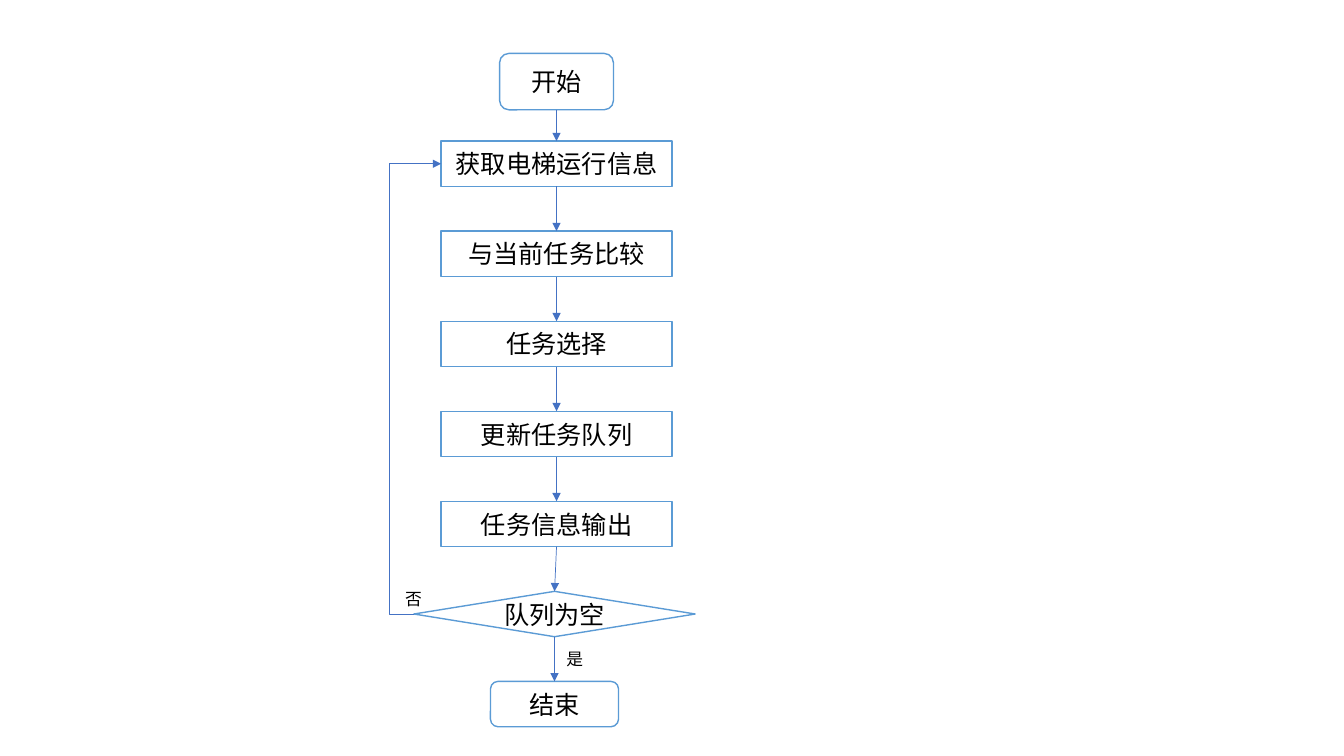
from itertools import pairwise
from lxml import etree
from pptx import Presentation
from pptx.dml.color import RGBColor
from pptx.enum.shapes import MSO_CONNECTOR, MSO_SHAPE
from pptx.enum.text import MSO_ANCHOR, PP_ALIGN
from pptx.oxml.ns import qn
from pptx.util import Inches, Pt

# Content: text, kind, centre x, width
STEPS = [
    ("开始", "terminal", 5.52, 1.13),
    ("获取电梯运行信息", "process", 5.52, 2.29),
    ("与当前任务比较", "process", 5.52, 2.29),
    ("任务选择", "process", 5.52, 2.29),
    ("更新任务队列", "process", 5.52, 2.29),
    ("任务信息输出", "process", 5.52, 2.29),
    ("队列为空", "decision", 5.50, 2.79),
    ("结束", "terminal", 5.50, 1.27),
]
BRANCH_LABELS = [("是", 5.52, 6.39), ("否", 3.92, 5.79)]

KINDS = {
    "terminal": MSO_SHAPE.ROUNDED_RECTANGLE,
    "process": MSO_SHAPE.RECTANGLE,
    "decision": MSO_SHAPE.FLOWCHART_DECISION,
}
COLORS = {"fill": "FFFFFF", "border": "5B9BD5", "arrow": "4472C4", "text": "000000"}
FONT = "Noto Sans CJK SC"

# Layout: the start box stands above evenly spaced rows
START_TOP, START_HEIGHT = 0.53, 0.56
FIRST_ROW, LAST_ROW, ROW_HEIGHT = 1.4, 6.76, 0.45
PITCH = (LAST_ROW - FIRST_ROW) / (len(STEPS) - 2)
LOOP_X = 3.86
TOP, LEFT, BOTTOM = 0, 1, 2  # connection sites

prs = Presentation()
prs.slide_width, prs.slide_height = Inches(13.33), Inches(7.5)
slide = prs.slides.add_slide(prs.slide_layouts[6])


def rgb(name):
    return RGBColor.from_string(COLORS[name])


def write(frame, text, size):
    run = frame.paragraphs[0].add_run()
    run.text = text
    run.font.size = Pt(size)
    run.font.name = FONT
    run.font.color.rgb = rgb("text")
    etree.SubElement(run.font._element, qn("a:ea"), typeface=FONT)


def add_step(row, text, kind, center, width):
    top, height = START_TOP, START_HEIGHT
    if row:
        top, height = FIRST_ROW + (row - 1) * PITCH, ROW_HEIGHT
    shape = slide.shapes.add_shape(KINDS[kind], Inches(center - width / 2),
                                   Inches(top), Inches(width), Inches(height))
    shape.shadow.inherit = False
    shape.fill.solid()
    shape.fill.fore_color.rgb = rgb("fill")
    shape.line.color.rgb = rgb("border")
    shape.line.width = Pt(1)
    frame = shape.text_frame
    frame.vertical_anchor = MSO_ANCHOR.MIDDLE
    frame.paragraphs[0].alignment = PP_ALIGN.CENTER
    write(frame, text, 18)
    return shape


def add_arrow(kind, source, source_site, target, target_site):
    arrow = slide.shapes.add_connector(kind, 0, 0, 0, 0)
    arrow.begin_connect(source, source_site)
    arrow.end_connect(target, target_site)
    arrow.line.color.rgb = rgb("arrow")
    arrow.line.width = Pt(0.5)
    etree.SubElement(arrow.line._get_or_add_ln(), qn("a:tailEnd"), type="triangle")
    etree.SubElement(arrow._element.spPr, qn("a:effectLst"))
    return arrow


# Steps and the arrows between them
steps = [add_step(row, *step) for row, step in enumerate(STEPS)]
for upper, lower in pairwise(steps):
    add_arrow(MSO_CONNECTOR.STRAIGHT, upper, BOTTOM, lower, TOP)

# Loop back from the decision to the first process
decision, first_process = steps[6], steps[1]
loop = add_arrow(MSO_CONNECTOR.ELBOW, decision, LEFT, first_process, LEFT)
bend = (Inches(LOOP_X) - loop.begin_x) / (loop.end_x - loop.begin_x)
guides = loop._element.spPr.find(qn("a:prstGeom")).get_or_add_avLst()
etree.SubElement(guides, qn("a:gd"), name="adj1", fmla=f"val {round(bend * 100000)}")

# Branch labels
for text, left, top in BRANCH_LABELS:
    box = slide.shapes.add_textbox(Inches(left), Inches(top), Inches(0.37), Inches(0.3))
    box.text_frame.word_wrap = False
    write(box.text_frame, text, 12)

prs.save("out.pptx")
